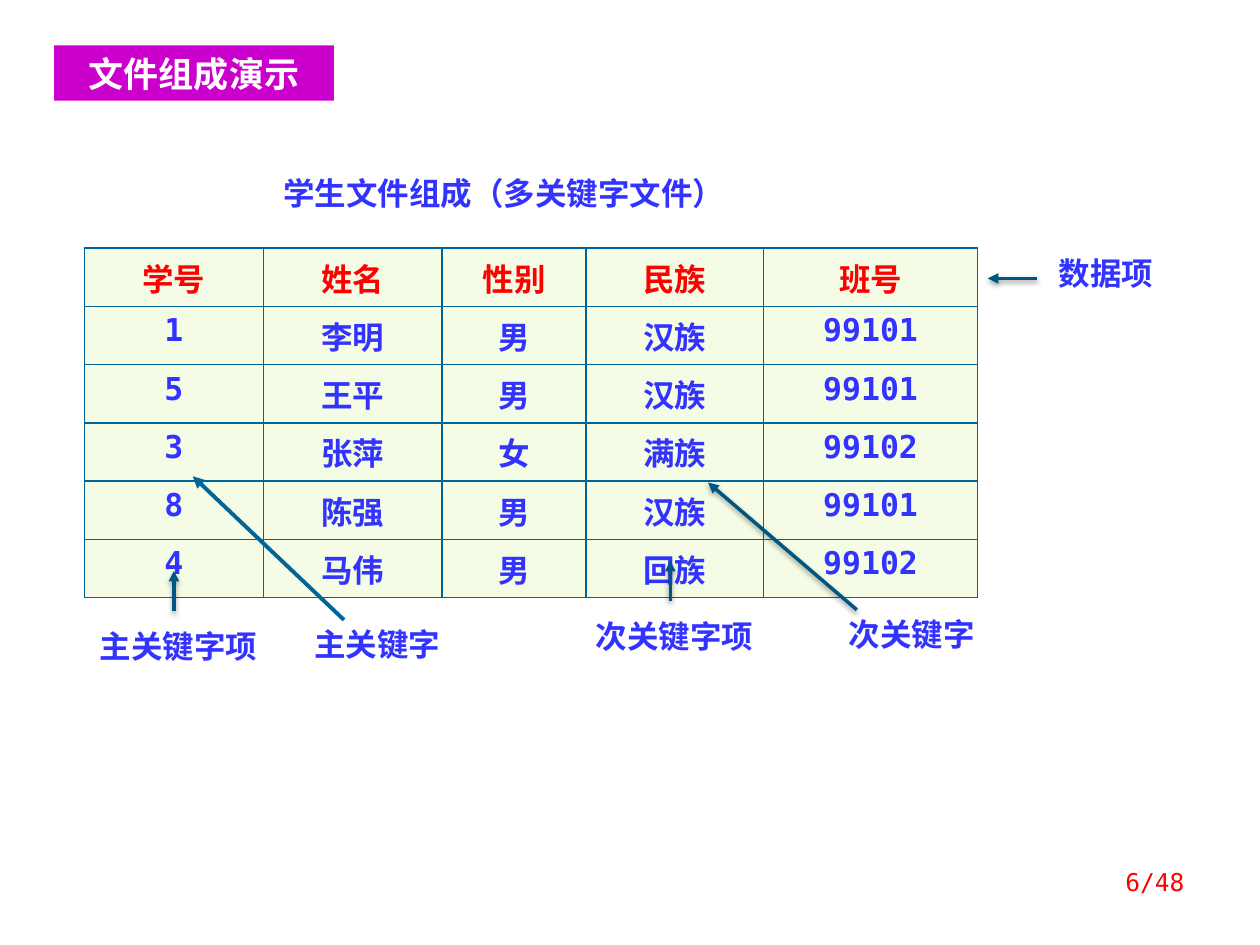
from lxml.etree import SubElement as Sub
from pptx import Presentation
from pptx.dml.color import RGBColor as RGB
from pptx.enum.shapes import MSO_CONNECTOR as Link, MSO_SHAPE as Shape
from pptx.enum.text import MSO_ANCHOR as Anchor, PP_ALIGN as Align
from pptx.oxml.ns import qn
from pptx.util import Inches, Pt

# The slide is a grid of 100 columns by 75 rows
UNIT = Inches(0.1)
COLS, ROWS = 100, 75

BLUE = RGB(0x33, 0x33, 0xFF)
RED = RGB(0xFF, 0x00, 0x00)
WHITE = RGB(0xFF, 0xFF, 0xFF)
PURPLE = RGB(0xCC, 0x00, 0xCC)
CREAM = RGB(0xF4, 0xFC, 0xE5)
TEAL = RGB(0x00, 0x66, 0x99)
DARK = RGB(0x00, 0x56, 0x82)

MONO = "DejaVu Sans Mono"
HAN = "Noto Sans CJK SC"
HAN_JP = "Noto Sans CJK JP"

HEAD = ["学号", "姓名", "性别", "民族", "班号"]
DATA = [
    ["1", "李明", "男", "汉族", "99101"],
    ["5", "王平", "男", "汉族", "99101"],
    ["3", "张萍", "女", "满族", "99102"],
    ["8", "陈强", "男", "汉族", "99101"],
    ["4", "马伟", "男", "回族", "99102"],
]
WIDTHS = [14.2, 14.2, 11.4, 14.1, 17]
ROW = 4

# Label, its box, arrow start and end, line colour, line width, shadow
NOTES = [
    ("数据项", (81.5, 19.7, 12.6, 4), (82.3, 22.1), (78.4, 22.1), DARK, 2, True),
    ("主关键字项", (5.1, 49.3, 18.1, 4), (13.8, 48.5), (13.8, 45.3), DARK, 2, True),
    ("主关键字", (22.4, 49.1, 15.1, 4), (27.3, 49.2), (15.3, 37.8), TEAL, 2.25, False),
    ("次关键字项", (44.5, 48.5, 18.1, 4), (53.2, 47.7), (53.2, 44.5), DARK, 2, True),
    ("次关键字", (63.3, 48.3, 18.1, 4), (68, 48.4), (56.2, 38.3), DARK, 2, True),
]


def grid(*cells):
    return [round(n * UNIT) for n in cells]


def write(frame, text, size=18, font=HAN, color=BLUE, bold=True,
          align=Align.CENTER, anchor=Anchor.MIDDLE):
    frame.word_wrap = True
    frame.vertical_anchor = anchor
    para = frame.paragraphs[0]
    para.alignment = align
    run = para.add_run()
    run.text = text
    run.font.size = Pt(size)
    run.font.bold = bold
    run.font.color.rgb = color
    run.font.name = font
    east = HAN if font == MONO else font
    Sub(run._r.get_or_add_rPr(), qn("a:ea"), typeface=east)


def label(slide, text, box, **form):
    write(slide.shapes.add_textbox(*grid(*box)).text_frame, text, **form)


def banner(slide, text, box, **form):
    shape = slide.shapes.add_shape(Shape.RECTANGLE, *grid(*box))
    shape.shadow.inherit = False
    shape.fill.solid()
    shape.fill.fore_color.rgb = PURPLE
    shape.line.fill.background()
    write(shape.text_frame, text, **form)


def arrow(slide, start, end, color, width, shade):
    line = slide.shapes.add_connector(Link.STRAIGHT, *grid(*start, *end))
    line.line.color.rgb = color
    line.line.width = Pt(width)
    props = line._element.spPr
    Sub(props.find(qn("a:ln")), qn("a:tailEnd"), type="triangle")
    effect = Sub(props, qn("a:effectLst"))
    if shade:
        cast = Sub(effect, qn("a:outerShdw"), blurRad=str(Pt(3.1)),
                   dist=str(Pt(1.6)), dir="5400000", rotWithShape="0")
        tint = Sub(cast, qn("a:srgbClr"), val="000000")
        Sub(tint, qn("a:alpha"), val="38000")


def border(cell):
    props = cell._tc.get_or_add_tcPr()
    for i, side in enumerate(("lnL", "lnR", "lnT", "lnB")):
        edge = Sub(props, qn("a:" + side), w=str(Pt(1)))
        Sub(Sub(edge, qn("a:solidFill")), qn("a:srgbClr"), val=str(TEAL))
        props.insert(i, edge)


def table(slide, left, top):
    rows = [HEAD] + DATA
    box = grid(left, top, sum(WIDTHS), ROW * len(rows))
    tab = slide.shapes.add_table(len(rows), len(HEAD), *box).table
    tab.first_row = tab.horz_banding = False
    for col, width in zip(tab.columns, grid(*WIDTHS)):
        col.width = width
    for r, row in enumerate(rows):
        for c, text in enumerate(row):
            cell = tab.cell(r, c)
            cell.fill.solid()
            cell.fill.fore_color.rgb = CREAM
            border(cell)
            write(cell.text_frame, text, font=MONO,
                  color=BLUE if r else RED, anchor=None)


def main():
    deck = Presentation()
    deck.slide_width, deck.slide_height = grid(COLS, ROWS)
    slide = deck.slides.add_slide(deck.slide_layouts[6])

    # Student file
    table(slide, 6.7, 19.7)
    label(slide, "学生文件组成（多关键字文件）", (18, 13.3, 44, 4), font=HAN_JP)

    # Notes with their arrows
    for text, box, *line in NOTES:
        arrow(slide, *line)
        label(slide, text, box)

    # Title and page number
    banner(slide, "文件组成演示", (4.3, 3.6, 22.2, 4.4), size=20, color=WHITE)
    label(slide, "6/48", (71.7, 68.3, 23.3, 5), size=14, font=MONO, color=RED,
          bold=False, align=Align.RIGHT, anchor=Anchor.TOP)

    deck.save("out.pptx")


if __name__ == "__main__":
    main()
